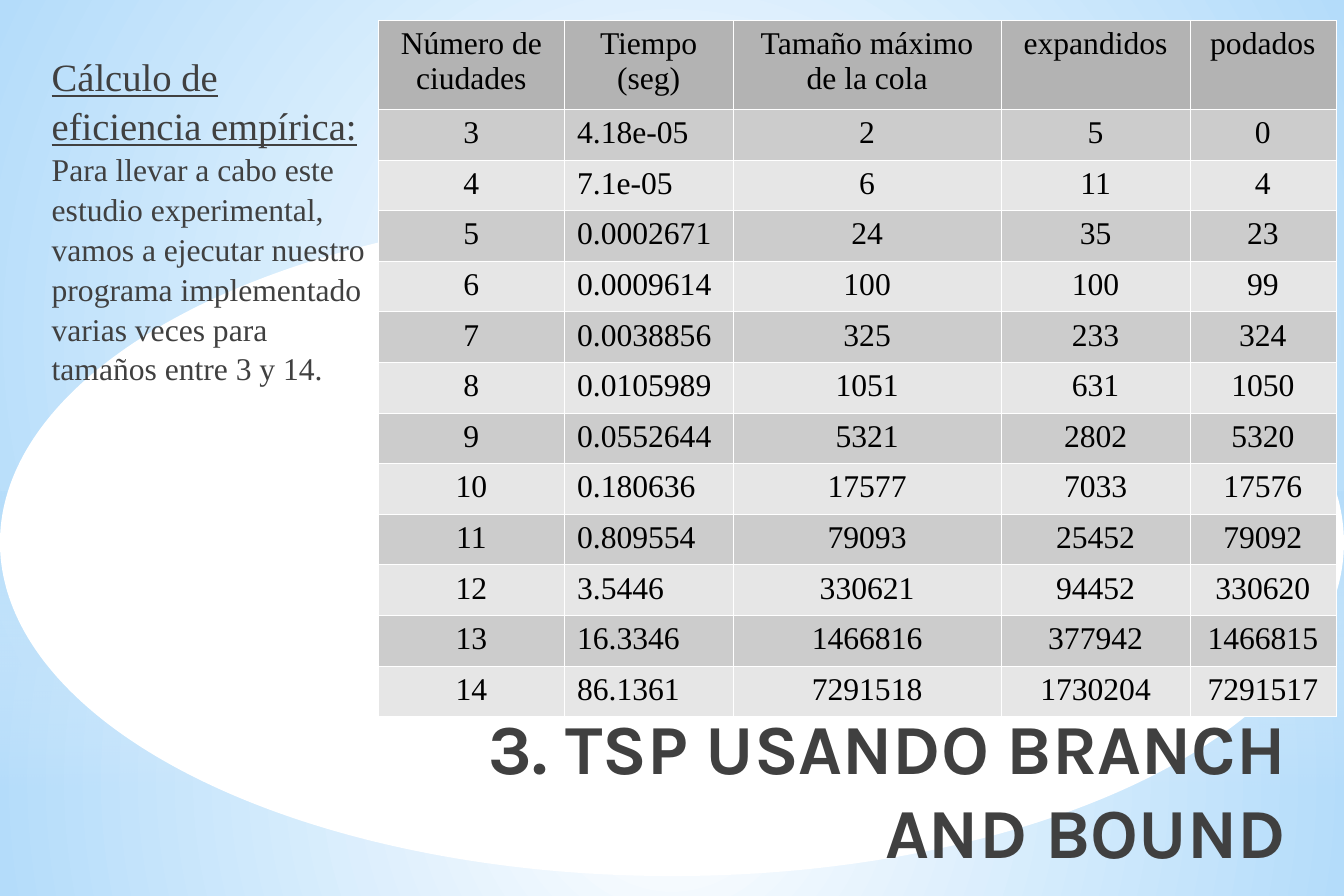
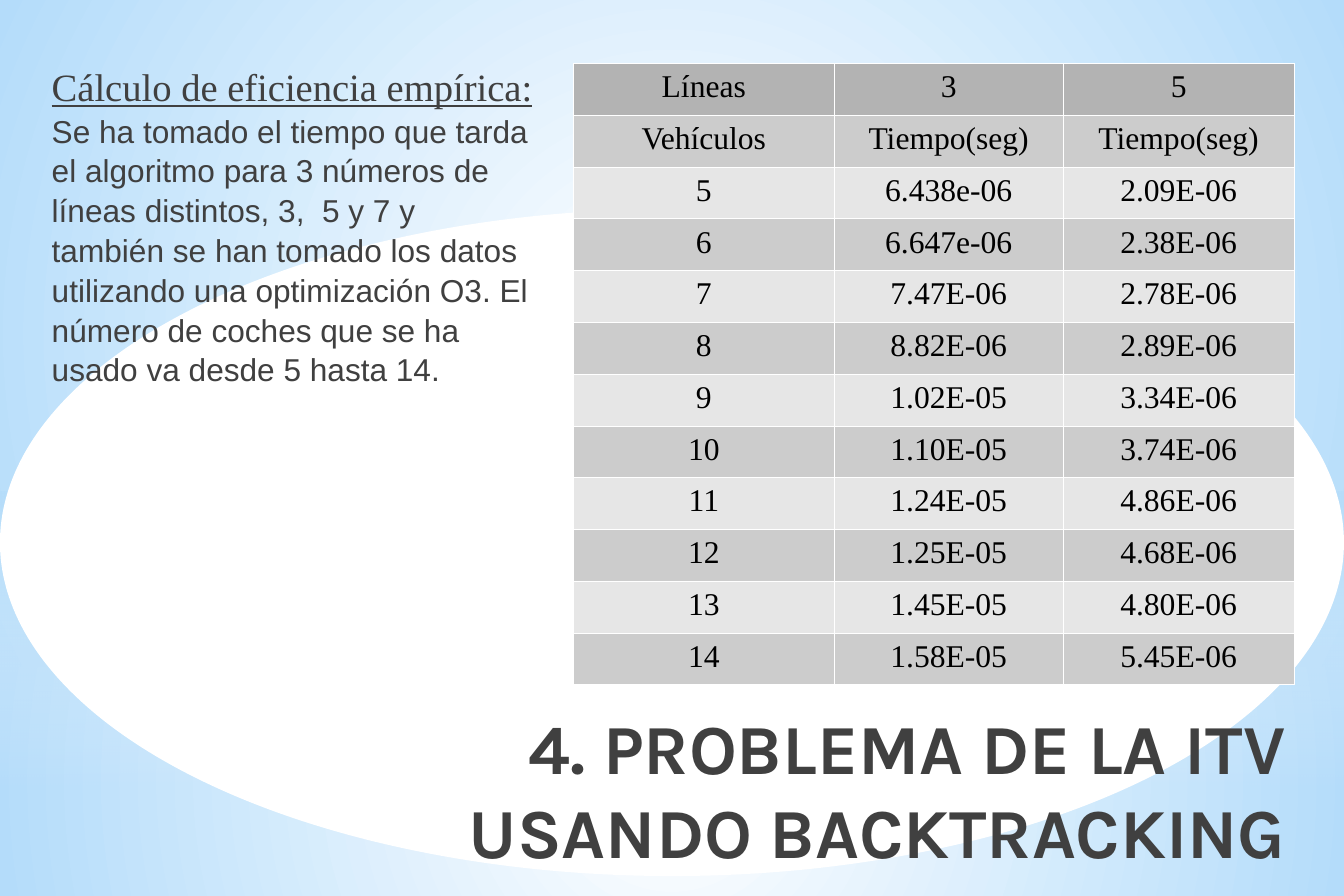
from lxml.etree import SubElement
from pptx import Presentation
from pptx.dml.color import RGBColor
from pptx.enum.shapes import MSO_SHAPE
from pptx.enum.text import MSO_ANCHOR, MSO_AUTO_SIZE, PP_ALIGN
from pptx.oxml import parse_xml
from pptx.oxml.ns import nsdecls, qn
from pptx.util import Cm, Pt

# Shared look
WHITE = RGBColor(0xFF, 0xFF, 0xFF)
BLACK = RGBColor(0x00, 0x00, 0x00)
TEXT_GREY = RGBColor(0x40, 0x40, 0x40)
PALE_BLUE = RGBColor(0xB4, 0xDC, 0xFA)
SKY_BLUE = RGBColor(0x9C, 0xD4, 0xFF)
DEEP_BLUE = RGBColor(0x5B, 0xB9, 0xFF)
HEADER_GREY = RGBColor(0xB3, 0xB3, 0xB3)
BAND_GREYS = (RGBColor(0xCC, 0xCC, 0xCC), RGBColor(0xE6, 0xE6, 0xE6))

SERIF = "Times New Roman"
SANS = "Arial"
TITLE_FONT = {"name": "Karla", "size": Pt(40), "bold": True}
HEADING_FONT = {"name": SERIF, "size": Pt(22), "underline": True}
BODY_FONT = {"size": Pt(18)}
CELL_FONT = {"name": SERIF, "size": Pt(18), "bold": False}

SLIDE_WIDTH, SLIDE_HEIGHT = 27, 18
TITLE_BOX = (8, 14.02, 18.08, 3.18)
HEADING = "Cálculo de eficiencia empírica:"
BORDER_WIDTH = Pt(0.06)

# Gradient ends: colour and opacity in percent
GLOW = ((WHITE, 100), (PALE_BLUE, 100))
HAZE = ((PALE_BLUE, 60), (WHITE, 0))
SKY = ((SKY_BLUE, 100), (DEEP_BLUE, 100))
CIRCLE = '<a:path path="circle"><a:fillToRect l="50000" t="{0}" r="50000" b="{1}"/></a:path>'
CENTRED = CIRCLE.format(50000, 50000)
HIGH = CIRCLE.format(10000, 90000)
DOWNWARD = '<a:lin ang="5400000" scaled="0"/>'

# Contents of the tables
BRANCH_HEADER = ["Número de\nciudades", "Tiempo\n(seg)", "Tamaño máximo\nde la cola",
                 "expandidos", "podados"]
BRANCH_ROWS = [
    ["3", "4.18e-05", "2", "5", "0"],
    ["4", "7.1e-05", "6", "11", "4"],
    ["5", "0.0002671", "24", "35", "23"],
    ["6", "0.0009614", "100", "100", "99"],
    ["7", "0.0038856", "325", "233", "324"],
    ["8", "0.0105989", "1051", "631", "1050"],
    ["9", "0.0552644", "5321", "2802", "5320"],
    ["10", "0.180636", "17577", "7033", "17576"],
    ["11", "0.809554", "79093", "25452", "79092"],
    ["12", "3.5446", "330621", "94452", "330620"],
    ["13", "16.3346", "1466816", "377942", "1466815"],
    ["14", "86.1361", "7291518", "1730204", "7291517"],
]
INSPECTION_HEADER = ["Líneas", "3", "5"]
INSPECTION_ROWS = [
    ["Vehículos", "Tiempo(seg)", "Tiempo(seg)"],
    ["5", "6.438e-06", "2.09E-06"],
    ["6", "6.647e-06", "2.38E-06"],
    ["7", "7.47E-06", "2.78E-06"],
    ["8", "8.82E-06", "2.89E-06"],
    ["9", "1.02E-05", "3.34E-06"],
    ["10", "1.10E-05", "3.74E-06"],
    ["11", "1.24E-05", "4.86E-06"],
    ["12", "1.25E-05", "4.68E-06"],
    ["13", "1.45E-05", "4.80E-06"],
    ["14", "1.58E-05", "5.45E-06"],
]


def format_font(font, values, color):
    for name, value in values.items():
        setattr(font, name, value)
    font.color.rgb = color


def set_gradient(properties, ends, direction):
    """Replace the solid fill in the properties element by a gradient."""
    stops = "".join(
        f'<a:gs pos="{position}"><a:srgbClr val="{color}">'
        f'<a:alpha val="{opacity * 1000}"/></a:srgbClr></a:gs>'
        for position, (color, opacity) in zip((0, 100000), ends))
    gradient = parse_xml(f'<a:gradFill {nsdecls("a")} rotWithShape="1">'
                         f'<a:gsLst>{stops}</a:gsLst>{direction}</a:gradFill>')
    properties.replace(properties.find(qn("a:solidFill")), gradient)


def add_backdrop(layout, slide):
    """Draw the backdrop and move it to the layout, behind its placeholders."""
    layout.background.fill.solid()
    layout.background.fill.fore_color.rgb = SKY_BLUE
    set_gradient(layout.element.find(".//" + qn("p:bgPr")), SKY, HIGH)
    # kind, top, height, gradient ends, direction
    parts = [
        (MSO_SHAPE.RECTANGLE, 13.4, 4.6, GLOW, CENTRED),
        (MSO_SHAPE.RECTANGLE, 0, 13.4, GLOW, CENTRED),
        (MSO_SHAPE.RECTANGLE, 9.88, 6, HAZE, DOWNWARD),
        (MSO_SHAPE.OVAL, 4.2, 13.4, None, None),
    ]
    for index, (kind, top, height, ends, direction) in enumerate(parts):
        shape = slide.shapes.add_shape(kind, 0, Cm(top), Cm(SLIDE_WIDTH), Cm(height))
        shape.shadow.inherit = False
        shape.line.fill.background()
        shape.fill.solid()
        shape.fill.fore_color.rgb = WHITE
        if ends:
            set_gradient(shape.element.spPr, ends, direction)
        shape.element.find(".//" + qn("p:cNvPr")).set("id", str(100 + index))
        layout.shapes.element.insert(2 + index, shape.element)


def set_title(slide, text):
    title = slide.shapes.title
    title.left, title.top, title.width, title.height = map(Cm, TITLE_BOX)
    frame = title.text_frame
    frame.text = text
    frame.word_wrap = True
    frame.auto_size = MSO_AUTO_SIZE.NONE
    frame.vertical_anchor = MSO_ANCHOR.TOP
    paragraph = frame.paragraphs[0]
    paragraph.alignment = PP_ALIGN.RIGHT
    format_font(paragraph.runs[0].font, TITLE_FONT, TEXT_GREY)


def add_explanation(slide, box, text, font_name):
    """Add the underlined heading with its body text."""
    frame = slide.shapes.add_textbox(*map(Cm, box)).text_frame
    frame.word_wrap = True
    frame.text = f"{HEADING}\n{text}"
    fonts = (HEADING_FONT, {**BODY_FONT, "name": font_name})
    for paragraph, font in zip(frame.paragraphs, fonts):
        paragraph.line_spacing = 1.05
        format_font(paragraph.runs[0].font, font, TEXT_GREY)


def add_borders(cell):
    properties = cell._tc.get_or_add_tcPr()
    for index, side in enumerate(("lnL", "lnR", "lnT", "lnB")):
        line = SubElement(properties, qn(f"a:{side}"), w=str(BORDER_WIDTH))
        fill = SubElement(line, qn("a:solidFill"))
        SubElement(fill, qn("a:srgbClr"), val=str(WHITE))
        properties.insert(index, line)


def fill_cell(cell, text, color, alignment):
    cell.text = text
    cell.fill.solid()
    cell.fill.fore_color.rgb = color
    add_borders(cell)
    for paragraph in cell.text_frame.paragraphs:
        paragraph.alignment = alignment
        format_font(paragraph.runs[0].font, CELL_FONT, BLACK)


def add_results(slide, position, widths, heights, header, rows, left_column=None):
    """Add a banded table; heights are those of the header and of a body row."""
    header_height, row_height = heights
    total_height = header_height + row_height * len(rows)
    table = slide.shapes.add_table(len(rows) + 1, len(widths), *map(Cm, position),
                                   Cm(sum(widths)), Cm(total_height)).table
    table.horz_banding = False
    for column, width in zip(table.columns, widths):
        column.width = Cm(width)
    for row_index, values in enumerate([header, *rows]):
        is_header = row_index == 0
        table.rows[row_index].height = Cm(header_height if is_header else row_height)
        color = HEADER_GREY if is_header else BAND_GREYS[(row_index - 1) % 2]
        for column_index, value in enumerate(values):
            is_left = column_index == left_column and not is_header
            fill_cell(table.cell(row_index, column_index), value, color,
                      PP_ALIGN.LEFT if is_left else PP_ALIGN.CENTER)


def main():
    presentation = Presentation()
    presentation.slide_width = Cm(SLIDE_WIDTH)
    presentation.slide_height = Cm(SLIDE_HEIGHT)
    layout = presentation.slide_layouts.get_by_name("Title Only")

    # Branch and bound
    slide = presentation.slides.add_slide(layout)
    add_backdrop(layout, slide)
    set_title(slide, "3. TSP USANDO BRANCH AND BOUND")
    add_explanation(
        slide, (0.79, 0.9, 6.85, 8.3),
        "Para llevar a cabo este estudio experimental, vamos a ejecutar nuestro programa "
        "implementado varias veces para tamaños entre 3 y 14.", SERIF)
    add_results(slide, (7.6, 0.41), (3.74, 3.38, 5.4, 3.78, 2.94), (1.67, 0.97),
                BRANCH_HEADER, BRANCH_ROWS, left_column=1)

    # Backtracking
    slide = presentation.slides.add_slide(layout)
    set_title(slide, "4. PROBLEMA DE LA ITV USANDO BACKTRACKING")
    add_explanation(
        slide, (0.79, 1.1, 10.22, 11.68),
        "Se ha tomado el tiempo que tarda el algoritmo para 3 números de líneas distintos, "
        "3,  5 y 7 y también se han tomado los datos utilizando una optimización O3. "
        "El número de coches que se ha usado va desde 5 hasta 14.", SANS)
    add_results(slide, (11.52, 1.27), (5.24, 4.6, 4.64), (1.04, 1.04),
                INSPECTION_HEADER, INSPECTION_ROWS)

    presentation.save("out.pptx")


if __name__ == "__main__":
    main()
